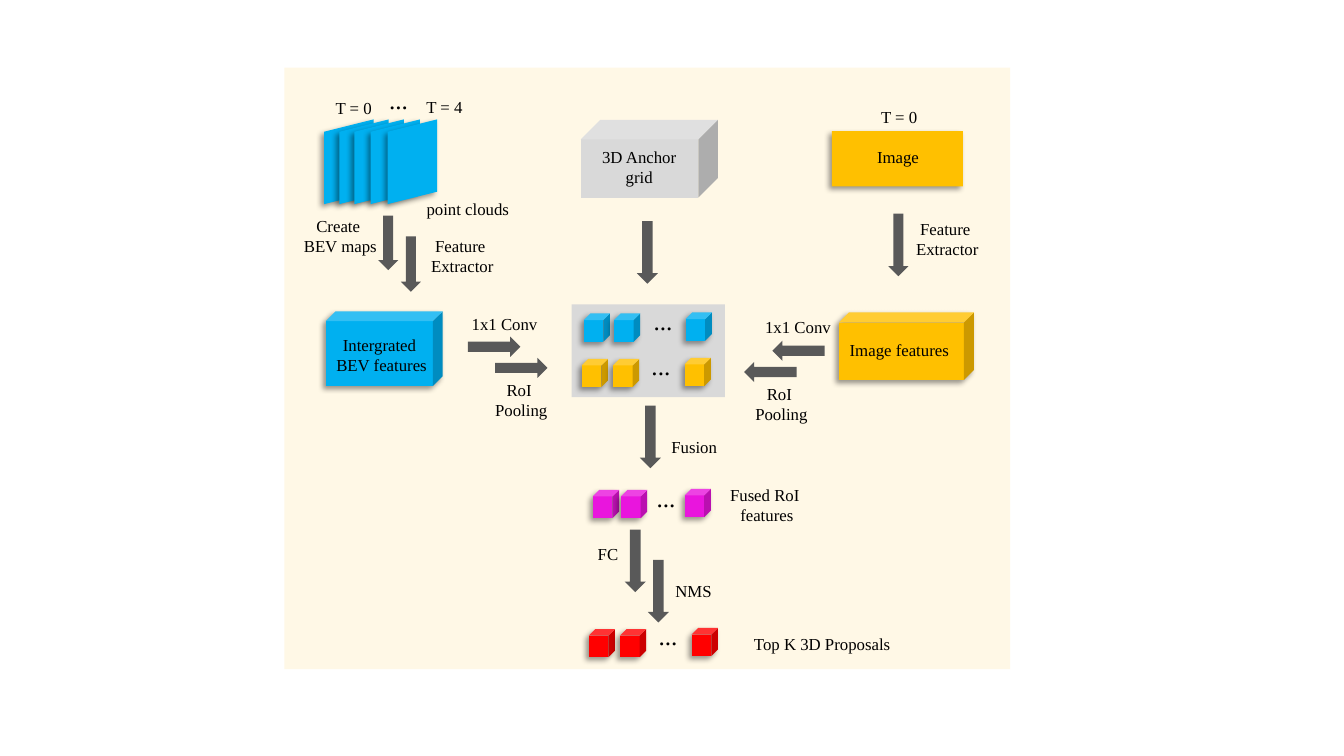
from dataclasses import dataclass
from typing import Any, Optional

from lxml.etree import SubElement
from pptx import Presentation
from pptx.dml.color import RGBColor
from pptx.enum.shapes import MSO_SHAPE
from pptx.enum.text import MSO_AUTO_SIZE, PP_ALIGN
from pptx.oxml.ns import qn
from pptx.util import Inches, Pt


@dataclass(frozen=True)
class Theme:
    """Colours, font and type sizes of the slide."""
    cream: str = "FFF2CC"
    blue: str = "00B0F0"
    gold: str = "FFC000"
    pink: str = "E915DD"
    red: str = "FF0000"
    pale: str = "D9D9D9"
    dark: str = "595959"
    ink: str = "000000"
    font: str = "Times New Roman"
    body: int = 12
    dots: int = 18


THEME = Theme()


@dataclass(frozen=True)
class Block:
    """A filled preset shape."""
    kind: MSO_SHAPE
    box: tuple[float, float, float, float]
    color: str
    shade: bool = True
    turn: int = 0
    flip: bool = False
    adj: Optional[float] = None


@dataclass(frozen=True)
class Label:
    """A text box with one paragraph per line."""
    text: str
    box: tuple[float, float, float, float]
    left: bool = False
    wrap: bool = False
    size: int = THEME.body


@dataclass(frozen=True)
class Row:
    """Two cubes, dots, then a last cube."""
    color: str
    lefts: tuple[float, float, float]
    top: float
    dots: tuple[float, float]


CUBE, RECT = MSO_SHAPE.CUBE, MSO_SHAPE.RECTANGLE
DOWN, LEFT, RIGHT = 90, 180, 0

SHEETS = [
    Block(MSO_SHAPE.PARALLELOGRAM, (left, 1.36, 0.84, 0.49), THEME.blue, turn=90, flip=True)
    for left in (3.04, 3.19, 3.34, 3.5, 3.67)
]
BLOCKS = SHEETS + [
    Block(RECT, (8.25, 1.3, 1.3, 0.55), THEME.gold),
    Block(CUBE, (3.23, 3.09, 1.16, 0.74), THEME.blue, adj=0.13),
    Block(CUBE, (8.32, 3.1, 1.34, 0.67), THEME.gold, adj=0.15),
    Block(CUBE, (5.76, 1.19, 1.36, 0.77), THEME.pale, shade=False),
    Block(RECT, (5.67, 3.02, 1.52, 0.92), THEME.pale, shade=False),
]
ARROWS = [
    (DOWN, (8.6, 2.33, 0.62, 0.2)),
    (DOWN, (3.8, 2.52, 0.55, 0.2)),
    (DOWN, (3.58, 2.31, 0.54, 0.2)),
    (DOWN, (6.11, 2.4, 0.62, 0.21)),
    (DOWN, (6.14, 4.23, 0.62, 0.21)),
    (DOWN, (5.99, 5.46, 0.62, 0.21)),
    (DOWN, (6.22, 5.76, 0.62, 0.21)),
    (RIGHT, (4.64, 3.34, 0.52, 0.2)),
    (RIGHT, (4.91, 3.55, 0.52, 0.2)),
    (LEFT, (7.66, 3.38, 0.52, 0.2)),
    (LEFT, (7.38, 3.59, 0.52, 0.2)),
]
ROWS = [
    Row(THEME.blue, (5.79, 6.09, 6.8), 3.11, (6.38, 2.98)),
    Row(THEME.gold, (5.77, 6.08, 6.79), 3.56, (6.36, 3.43)),
    Row(THEME.pink, (5.88, 6.16, 6.79), 4.86, (6.41, 4.74)),
    Row(THEME.red, (5.84, 6.15, 6.86), 6.24, (6.43, 6.11)),
]
LABELS = [
    Label("T = 0", (3.23, 0.92, 0.64, 0.3), left=True, wrap=True),
    Label("...", (3.76, 0.79, 0.39, 0.4), left=True, wrap=True, size=THEME.dots),
    Label("T = 4", (4.13, 0.91, 0.57, 0.3), left=True),
    Label("T = 0", (8.64, 1.01, 0.6, 0.3), left=True, wrap=True),
    Label("point clouds", (4.13, 1.92, 1.02, 0.3)),
    Label("Image", (8.6, 1.41, 0.62, 0.3), left=True),
    Label("3D Anchor\ngrid", (5.87, 1.41, 0.94, 0.5)),
    Label("Create \nBEV maps", (2.9, 2.09, 0.95, 0.5), wrap=True),
    Label("Feature\n Extractor", (4.13, 2.29, 0.87, 0.5)),
    Label("Feature\n Extractor", (8.94, 2.12, 0.87, 0.5)),
    Label("Intergrated \nBEV features", (3.23, 3.27, 1.11, 0.5)),
    Label("Image features", (8.32, 3.32, 1.2, 0.3)),
    Label("1x1 Conv", (4.58, 3.06, 0.85, 0.3), left=True),
    Label("1x1 Conv", (7.49, 3.09, 0.85, 0.3), left=True),
    Label("RoI \nPooling", (4.81, 3.72, 0.72, 0.5)),
    Label("RoI\n Pooling", (7.35, 3.76, 0.76, 0.5)),
    Label("Fusion", (6.56, 4.28, 0.75, 0.3), left=True, wrap=True),
    Label("Fused RoI\n features", (7.14, 4.76, 0.89, 0.5)),
    Label("FC", (5.83, 5.35, 0.5, 0.3), left=True, wrap=True),
    Label("NMS", (6.6, 5.71, 0.56, 0.3), left=True),
    Label("Top K 3D Proposals", (7.38, 6.24, 1.7, 0.3), left=True, wrap=True),
]


def assign(item: Any, values: dict[str, Any]) -> None:
    """Set each named value on the item."""
    for name, value in values.items():
        setattr(item, name, value)


def add_alpha(color: Any, share: int) -> None:
    """Make a colour element opaque to the given percentage."""
    SubElement(color, qn("a:alpha")).set("val", str(share * 1000))


def add_shade(shape: Any) -> None:
    """Give the shape a soft shadow to the lower left."""
    effects = shape.element.spPr.find(qn("a:effectLst"))
    outer = SubElement(effects, qn("a:outerShdw"))
    values = {"blurRad": Pt(4), "dist": Pt(3), "dir": 135 * 60000}
    for name, value in values.items():
        outer.set(name, str(int(value)))
    color = SubElement(outer, qn("a:srgbClr"))
    color.set("val", THEME.ink)
    add_alpha(color, 40)


def draw_block(slide: Any, block: Block) -> Any:
    """Draw one preset shape without an outline."""
    shape = slide.shapes.add_shape(block.kind, *map(Inches, block.box))
    shape.shadow.inherit = False
    shape.fill.solid()
    shape.fill.fore_color.rgb = RGBColor.from_string(block.color)
    shape.line.fill.background()
    shape.rotation = block.turn
    if block.flip:
        shape.element.spPr.find(qn("a:xfrm")).set("flipV", "1")
    if block.adj is not None:
        shape.adjustments[0] = block.adj
    if block.shade:
        add_shade(shape)
    return shape


def draw_label(slide: Any, label: Label) -> None:
    """Draw one text box."""
    frame = slide.shapes.add_textbox(*map(Inches, label.box)).text_frame
    frame.text = label.text
    assign(frame, {"word_wrap": label.wrap, "auto_size": MSO_AUTO_SIZE.SHAPE_TO_FIT_TEXT})
    for line in frame.paragraphs:
        line.alignment = PP_ALIGN.LEFT if label.left else PP_ALIGN.CENTER
        for run in line.runs:
            assign(run.font, {"name": THEME.font, "size": Pt(label.size)})
            run.font.color.rgb = RGBColor.from_string(THEME.ink)


def draw_row(slide: Any, row: Row) -> None:
    """Draw a row of small cubes with dots in its gap."""
    for left in row.lefts:
        top = row.top - 0.01 * (left == row.lefts[-1])
        draw_block(slide, Block(CUBE, (left, top, 0.26, 0.28), row.color))
    draw_label(slide, Label("...", (*row.dots, 0.39, 0.4), size=THEME.dots))


def main() -> None:
    """Build and save the slide."""
    deck = Presentation()
    assign(deck, {"slide_width": Inches(13.33), "slide_height": Inches(7.5)})
    slide = deck.slides.add_slide(deck.slide_layouts[6])
    panel = draw_block(slide, Block(RECT, (2.82, 0.67, 7.2, 5.97), THEME.cream, shade=False))
    add_alpha(panel.element.spPr.find(qn("a:solidFill"))[0], 49)
    for block in BLOCKS:
        draw_block(slide, block)
    for turn, box in ARROWS:
        draw_block(slide, Block(MSO_SHAPE.RIGHT_ARROW, box, THEME.dark, shade=False, turn=turn))
    for row in ROWS:
        draw_row(slide, row)
    for label in LABELS:
        draw_label(slide, label)
    deck.save("out.pptx")


main()
